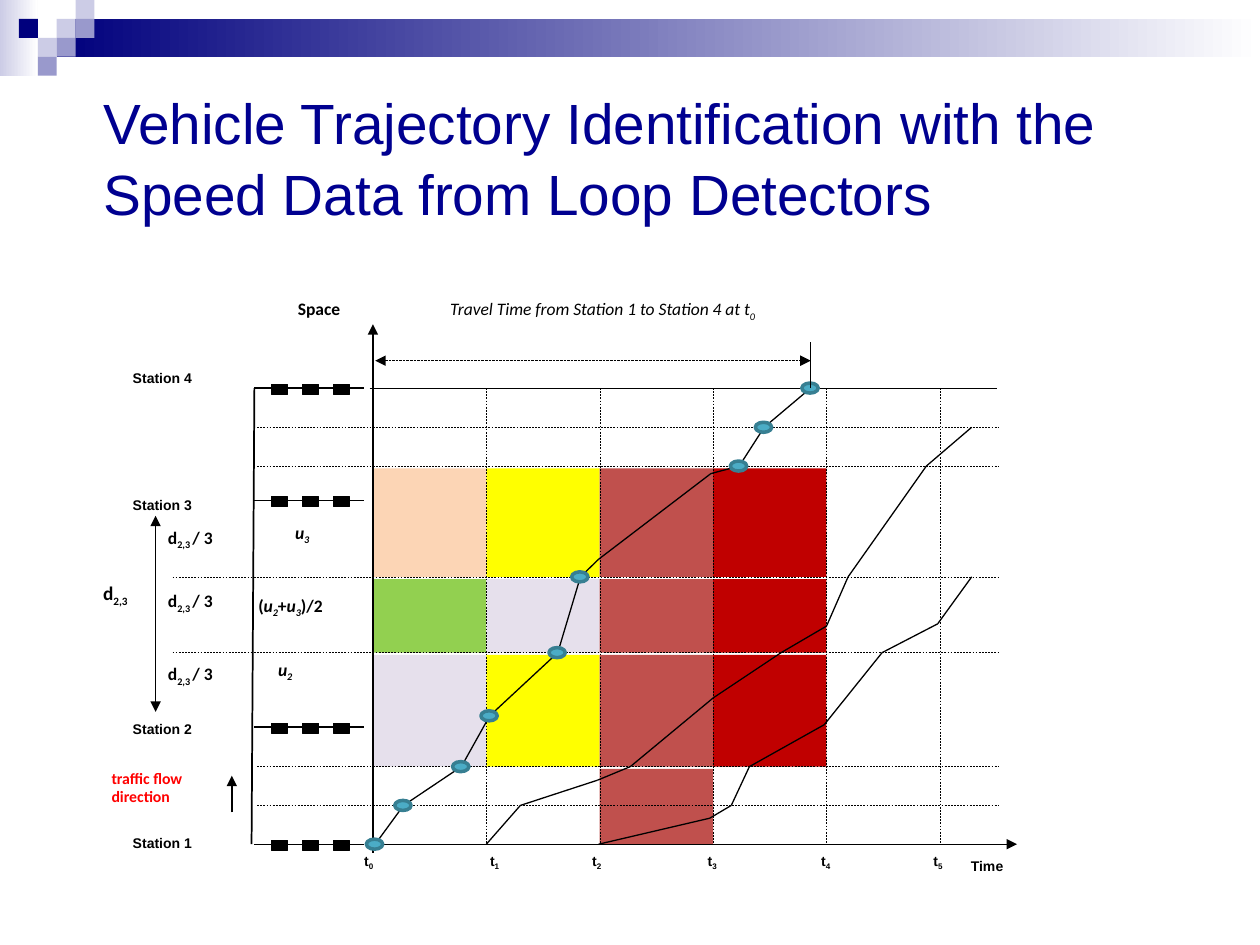
import dataclasses
import itertools

import pptx
import pptx.dml.color
import pptx.enum.dml
import pptx.enum.shapes
import pptx.enum.text
import pptx.oxml
import pptx.oxml.ns
import pptx.util

SHAPE = pptx.enum.shapes.MSO_SHAPE
ALIGN = pptx.enum.text.PP_ALIGN
DASH = pptx.enum.dml.MSO_LINE
COLORS = {
    "white": "FFFFFF", "black": "000000", "title": "000090", "navy": "00007D",
    "lavender": "CCCCE6", "violet": "9999CC", "flow": "FF0000",
    "peach": "FCD5B5", "green": "92D050", "lilac": "E6E0EC", "yellow": "FFFF00",
    "brick": "C0504D", "red": "C00000", "marker": "4BACC6", "marker edge": "377F92",
}
# Height of each third between stations, as a share of the plot; stations at 0, 3, 6, 9
LEVELS = [0, 0.085, 0.17, 0.257, 0.42, 0.586, 0.754, 0.829, 0.914, 1]
STATION_LEVELS = (0, 3, 6, 9)
COLUMNS = 5
# Speed cells: (bottom level, top level) and the colours from t0 to t4
SPEED_ROWS = [
    (2, 4, ("lilac", "yellow", "brick", "red")),
    (4, 5, ("green", "lilac", "brick", "red")),
    (5, 7, ("peach", "yellow", "brick", "red")),
    (0, 2, (None, None, "brick", None)),
]
# Vehicle paths as (time column, level)
MARKED_PATH = [(0.02, 0), (0.27, 1), (0.78, 2), (1.03, 3.15), (1.63, 4), (1.83, 5),
               (1.99, 5.23), (2.98, 6.78), (3.23, 7), (3.45, 8), (3.86, 9)]
UNMARKED = MARKED_PATH[6:8]
OTHER_PATHS = [
    [(1, 0), (1.3, 1), (1.98, 1.65), (2.27, 2), (3, 3.39), (3.6, 4), (4, 4.35),
     (4.19, 5), (4.88, 7), (5.28, 8)],
    [(1.99, 0), (2.97, 0.67), (3.16, 1), (3.32, 2), (3.98, 3.03), (4.49, 4),
     (4.98, 4.38), (5.28, 5)],
]


@dataclasses.dataclass
class Box:
    left: float
    top: float
    width: float
    height: float

    def x(self, share):
        return self.left + share * self.width

    def y(self, share):
        return self.top + share * self.height

    def column(self, number):
        return self.x(number / COLUMNS)

    def level(self, number):
        """Vertical place of a level, interpolated between the listed ones."""
        low = min(int(number), len(LEVELS) - 2)
        share = LEVELS[low] + (number - low) * (LEVELS[low + 1] - LEVELS[low])
        return self.y(1 - share)

    def point(self, column, level):
        return self.column(column), self.level(level)


def rgb(name):
    return pptx.dml.color.RGBColor.from_string(COLORS[name])


def inches(*lengths):
    return [pptx.util.Inches(length) for length in lengths]


def add_block(slide, kind, place, fill, edge=None, edge_width=0.75):
    block = slide.shapes.add_shape(kind, *inches(*place))
    block.shadow.inherit = False
    if isinstance(fill, tuple):
        block.fill.gradient()
        block.fill.gradient_angle = 0
        for stop, color, position in zip(block.fill.gradient_stops, fill, (0, 1)):
            stop.color.rgb = rgb(color)
            stop.position = position
    else:
        block.fill.solid()
        block.fill.fore_color.rgb = rgb(fill)
    if edge:
        block.line.color.rgb = rgb(edge)
        block.line.width = pptx.util.Pt(edge_width)
    else:
        block.line.fill.background()
    return block


def add_line(slide, start, end, width=0.75, dash=None, arrows=()):
    line = slide.shapes.add_connector(
        pptx.enum.shapes.MSO_CONNECTOR.STRAIGHT, *inches(*start, *end))
    line.line.color.rgb = rgb("black")
    line.line.width = pptx.util.Pt(width)
    if dash:
        line.line.dash_style = dash
    outline = line.line._get_or_add_ln()
    for arrow in arrows:
        pptx.oxml.ns.qn("a:" + arrow)
        outline.append(outline.makeelement(pptx.oxml.ns.qn("a:" + arrow), {"type": "triangle"}))
    properties = line._element.spPr
    properties.append(properties.makeelement(pptx.oxml.ns.qn("a:effectLst"), {}))


def add_label(slide, place, *lines, size=10, font="Calibri", color="black", bold=True,
              align=ALIGN.LEFT, tight=False, wrap=False):
    """Each line is a list of (text, flags): i is italic, s is subscript."""
    frame = slide.shapes.add_textbox(*inches(*place)).text_frame
    frame.word_wrap = wrap
    if tight:
        frame.margin_left, frame.margin_top, frame.margin_right, frame.margin_bottom = inches(
            0.02, 0.03, 0, 0)
    for number, runs in enumerate(lines):
        paragraph = frame.add_paragraph() if number else frame.paragraphs[0]
        paragraph.alignment = align
        paragraph.font.size = pptx.util.Pt(size)
        paragraph.font.name = font
        paragraph.font.bold = bold
        paragraph.font.color.rgb = rgb(color)
        all_italic = all("i" in flags for _, flags in runs)
        paragraph.font.italic = all_italic
        for text, flags in runs:
            run = paragraph.add_run()
            run.text = text
            if "i" in flags and not all_italic:
                run.font.italic = True
            if "s" in flags:
                run._r.get_or_add_rPr().set("baseline", "-25000")


def draw_banner(slide, box):
    tile = box.height / 4
    add_block(slide, SHAPE.RECTANGLE, (box.left, box.top, 2 * tile, box.height),
              ("lavender", "white"))
    add_block(slide, SHAPE.RECTANGLE,
              (box.left + 3 * tile, box.top + tile, box.width - 3 * tile, 2 * tile),
              ("navy", "white"))
    for column, row, color in [(3, 1, "lavender"), (4, 0, "lavender"), (4, 1, "violet"),
                               (2, 2, "lavender"), (1, 1, "navy"), (3, 2, "violet"),
                               (2, 3, "violet")]:
        add_block(slide, SHAPE.RECTANGLE,
                  (box.left + column * tile, box.top + row * tile, tile, tile), color)


def write_title(slide, box):
    title = slide.shapes.title
    title.left, title.top, title.width, title.height = inches(
        box.left, box.top, box.width, box.height)
    frame = title.text_frame
    frame.text = "Vehicle Trajectory Identification with the Speed Data from Loop Detectors"
    frame.auto_size = pptx.enum.text.MSO_AUTO_SIZE.NONE
    frame.vertical_anchor = pptx.enum.text.MSO_ANCHOR.MIDDLE
    heading = frame.paragraphs[0]
    heading.alignment = ALIGN.LEFT
    heading.line_spacing = 1.04
    heading.font.size = pptx.util.Pt(32.4)
    heading.font.name = "Arial"
    heading.font.color.rgb = rgb("title")


def draw_plot(slide, plot, side):
    """Time-space grid with speed cells, axes and vehicle paths."""
    for bottom, top, colors in SPEED_ROWS:
        upper = plot.level(top) + 0.005 * plot.height
        for column, color in enumerate(colors):
            if color:
                add_block(slide, SHAPE.RECTANGLE,
                          (plot.column(column), upper, plot.width / COLUMNS,
                           plot.level(bottom) - upper), color)
    for column in range(1, COLUMNS + 1):
        add_line(slide, plot.point(column, 9), plot.point(column, 0), 0.25, DASH.DASH)
    for level in (1, 2, 4, 5, 7, 8):
        start = side.x(0.29 if level in (4, 5) else 0.59)
        add_line(slide, (start, plot.level(level)), plot.point(5.52, level), 0.25, DASH.DASH)
    add_line(slide, plot.point(-0.03, 9), plot.point(5.5, 9), 0.25)
    add_line(slide, (plot.left, plot.y(-0.14)), (plot.left, plot.y(1.02)), arrows=["headEnd"])
    add_line(slide, plot.point(-0.03, 0), plot.point(5.68, 0), arrows=["tailEnd"])
    for path in [MARKED_PATH, *OTHER_PATHS]:
        for start, end in itertools.pairwise(path):
            add_line(slide, plot.point(*start), plot.point(*end))
    for stop in MARKED_PATH:
        if stop not in UNMARKED:
            x, y = plot.point(*stop)
            add_block(slide, SHAPE.OVAL, (x - 0.07, y - 0.04, 0.13, 0.08),
                      "marker", "marker edge", 2)
    arrival = plot.column(3.86)
    add_line(slide, (arrival, plot.top), (arrival, plot.y(-0.1)))
    add_line(slide, (plot.column(0.02), plot.y(-0.06)), (arrival, plot.y(-0.06)), 0.5,
             DASH.SQUARE_DOT, ["headEnd", "tailEnd"])
    add_label(slide, (plot.x(0.06), plot.y(-0.21), 0.69 * plot.width, 0.45),
              [("Travel Time from Station 1 to Station 4 at t", "i"), ("0", "is")],
              bold=False, align=ALIGN.CENTER, wrap=True)
    for number, column in enumerate((-0.1, 1.01, 1.91, 2.93, 3.93, 4.92)):
        add_label(slide, (plot.column(column), plot.y(1.01), 0.15, 0.16),
                  [("t", ""), (str(number), "s")], size=8, font="Arial", tight=True)
    add_label(slide, (plot.x(1.05), plot.y(1.02), 0.44, 0.26), [("Time", "")],
              size=8, font="Arial", tight=True)


def draw_road(slide, side):
    """Road beside the plot, with stations, detectors and section distances."""
    add_line(slide, (side.x(0.58), side.top), (side.x(0.57), side.y(1)), 1)
    for number, (level, label_top) in enumerate(
            zip(STATION_LEVELS, (0.97, 0.72, 0.23, -0.05)), 1):
        y = side.level(level)
        add_line(slide, (side.x(0.58), y), (side.x(0.97), y))
        for lane in (0.64, 0.75, 0.86):
            add_block(slide, SHAPE.RECTANGLE, (side.x(lane), y - 0.03, 0.13, 0.08),
                      "black", "black")
        add_label(slide, (side.x(0.14), side.y(label_top), 0.69, 0.25),
                  [(f"Station {number}", "")], size=8, font="Arial", tight=True)
    add_line(slide, (side.x(0.5), side.y(0.93)), (side.x(0.5), side.y(0.85)), 1,
             arrows=["tailEnd"])
    add_line(slide, (side.x(0.23), side.y(0.28)), (side.x(0.23), side.y(0.71)), 0.25,
             arrows=["headEnd", "tailEnd"])
    third = [("d", ""), ("2,3 ", "s"), ("/ 3", "")]
    notes = [(0.23, top, third) for top in (0.29, 0.43, 0.59)] + [
        (0.69, -0.21, [("Space", "")]),
        (0.62, 0.58, [("u", "i"), ("2", "is")]),
        (0.68, 0.28, [("u", "i"), ("3", "is")]),
        (0.55, 0.44, [("(", ""), ("u", "i"), ("2", "is"), ("+", ""), ("u", "i"),
                      ("3", "is"), (")/2", "")]),
    ]
    for left, top, runs in notes:
        add_label(slide, (side.x(left), side.y(top), 0.9, 0.4), runs)
    add_label(slide, (side.left, side.y(0.41), 0.64, 0.4), [("d", ""), ("2,3", "s")], size=11)
    add_label(slide, (side.x(0.03), side.y(0.82), 1.1, 0.53),
              [("traffic flow", "")], [("direction", "")], size=9, color="flow")


def main():
    deck = pptx.Presentation()
    deck.slide_width, deck.slide_height = inches(10, 7.5)
    slide = deck.slides.add_slide(deck.slide_layouts[5])
    plot = Box(2.96, 3.08, 4.5, 3.62)
    side = Box(0.72, plot.top, plot.left - 0.72, plot.height)
    draw_banner(slide, Box(0, 0, 10, 0.6))
    write_title(slide, Box(0.72, 0.95, 9, 0.58))
    draw_plot(slide, plot, side)
    draw_road(slide, side)
    deck.save("out.pptx")


if __name__ == "__main__":
    main()
